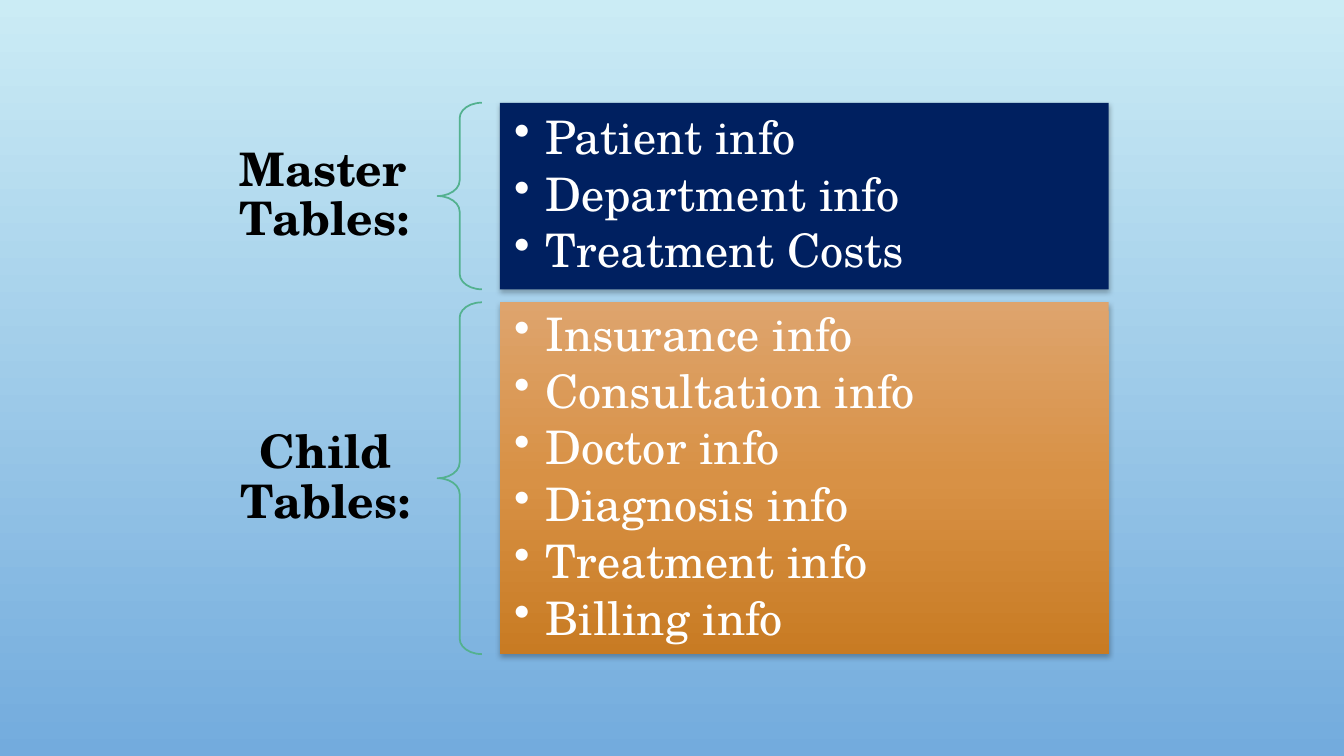
from copy import deepcopy
from dataclasses import dataclass

from lxml import etree
from pptx import Presentation
from pptx import util as u
from pptx.dml.color import RGBColor
from pptx.enum import shapes, text
from pptx.oxml.ns import qn

WIDTH, HEIGHT = u.Inches(13.33), u.Inches(7.5)
FONT, SIZE = "TeX Gyre Schola", 33
COLOURS = {
    "sky": "CBECF5", "blue": "73ABDD", "navy": "002060", "brace": "53B18F",
    "sand": "DEA46D", "orange": "D89145", "rust": "C87B23",
    "black": "000000", "white": "FFFFFF",
}
LABEL_LEFT, LABEL_WIDTH, LABEL_HEIGHT = 15.9, 16.65, 15.2
BRACE_LEFT, BRACE_WIDTH = 32.55, 3.3
PANEL_LEFT, PANEL_WIDTH = 37.2, 45.3


@dataclass
class TableGroup:
    """A labelled group of tables; top and height are percent of the slide."""
    label: str
    items: list[str]
    top: float
    height: float
    fill: list[str]
    align: text.PP_ALIGN


GROUPS = [
    TableGroup("Master Tables:", ["Patient info", "Department info", "Treatment Costs"],
               13.6, 24.67, ["navy"], text.PP_ALIGN.LEFT),
    TableGroup("Child Tables:",
               ["Insurance info", "Consultation info", "Doctor info",
                "Diagnosis info", "Treatment info", "Billing info"],
               40, 46.53, ["sand", "orange", "rust"], text.PP_ALIGN.CENTER),
]


def colour(name: str) -> RGBColor:
    """Look up a named colour."""
    return RGBColor.from_string(COLOURS[name])


def place(left: float, top: float, width: float, height: float) -> tuple[int, ...]:
    """Turn percentages of the slide into lengths."""
    return (int(WIDTH * left / 100), int(HEIGHT * top / 100),
            int(WIDTH * width / 100), int(HEIGHT * height / 100))


def paint(fill, element, names: list[str]) -> None:
    """Fill with one solid colour, or with an even gradient from top to bottom."""
    if len(names) == 1:
        fill.solid()
        fill.fore_color.rgb = colour(names[0])
        return
    fill.gradient()
    fill.gradient_angle = 270
    stop_list = element.find(".//" + qn("a:gsLst"))
    for _ in names[2:]:
        stop_list.append(deepcopy(stop_list[0]))
    for index, (stop, name) in enumerate(zip(fill.gradient_stops, names)):
        stop.position = index / (len(names) - 1)
        stop.color.rgb = colour(name)


def add_shadow(shape) -> None:
    """Give a shape a soft shadow falling straight down."""
    shape.shadow.inherit = False
    effects = shape.element.spPr.find(qn("a:effectLst"))
    shadow = etree.SubElement(effects, qn("a:outerShdw"), blurRad=str(u.Pt(4)),
                              dist=str(u.Pt(2)), dir="5400000", rotWithShape="0")
    tint = etree.SubElement(shadow, qn("a:srgbClr"), val=COLOURS["black"])
    etree.SubElement(tint, qn("a:alpha"), val="28000")


def write(shape, lines: list[str], *, ink: str, margins: tuple[float, float],
          align: text.PP_ALIGN = text.PP_ALIGN.LEFT, bold: bool = False,
          bullet: bool = False) -> None:
    """Write lines into a shape, one paragraph each."""
    frame = shape.text_frame
    frame.word_wrap = True
    frame.vertical_anchor = text.MSO_ANCHOR.MIDDLE
    frame.margin_left = frame.margin_right = u.Inches(margins[0])
    frame.margin_top = frame.margin_bottom = u.Inches(margins[1])
    for index, line in enumerate(lines):
        paragraph = frame.paragraphs[0] if index == 0 else frame.add_paragraph()
        paragraph.alignment = align
        paragraph.line_spacing = 0.9
        if bullet:
            paragraph.space_after = u.Pt(0.15 * SIZE)
            properties = paragraph._p.get_or_add_pPr()
            properties.set("marL", str(u.Inches(0.31)))
            properties.set("indent", str(-u.Inches(0.31)))
            etree.SubElement(properties, qn("a:buChar"), char="•")
        run = paragraph.add_run()
        run.text = line
        run.font.name, run.font.size, run.font.bold = FONT, u.Pt(SIZE), bold
        run.font.color.rgb = colour(ink)


def draw_group(slide, group: TableGroup) -> None:
    """Draw the label, brace and panel of one group."""
    label_top = group.top + (group.height - LABEL_HEIGHT) / 2
    label = slide.shapes.add_textbox(*place(LABEL_LEFT, label_top, LABEL_WIDTH, LABEL_HEIGHT))
    write(label, [group.label], ink="black", margins=(0.26, 0.09),
          align=group.align, bold=True)

    brace = slide.shapes.add_shape(shapes.MSO_SHAPE.LEFT_BRACE,
                                   *place(BRACE_LEFT, group.top, BRACE_WIDTH, group.height))
    brace.adjustments[0], brace.adjustments[1] = 0.35, 0.5
    brace.shadow.inherit = False
    brace.fill.background()
    brace.line.color.rgb = colour("brace")
    brace.line.width = u.Pt(1.25)

    panel = slide.shapes.add_shape(shapes.MSO_SHAPE.RECTANGLE,
                                   *place(PANEL_LEFT, group.top, PANEL_WIDTH, group.height))
    paint(panel.fill, panel.element, group.fill)
    panel.line.fill.background()
    add_shadow(panel)
    write(panel, group.items, ink="white", margins=(0.14, 0.14), bullet=True)


def main() -> None:
    """Build and save the slide."""
    presentation = Presentation()
    presentation.slide_width, presentation.slide_height = WIDTH, HEIGHT
    slide = presentation.slides.add_slide(presentation.slide_layouts[6])
    paint(slide.background.fill, slide.element, ["sky", "blue"])
    for group in GROUPS:
        draw_group(slide, group)
    presentation.save("out.pptx")


if __name__ == "__main__":
    main()
